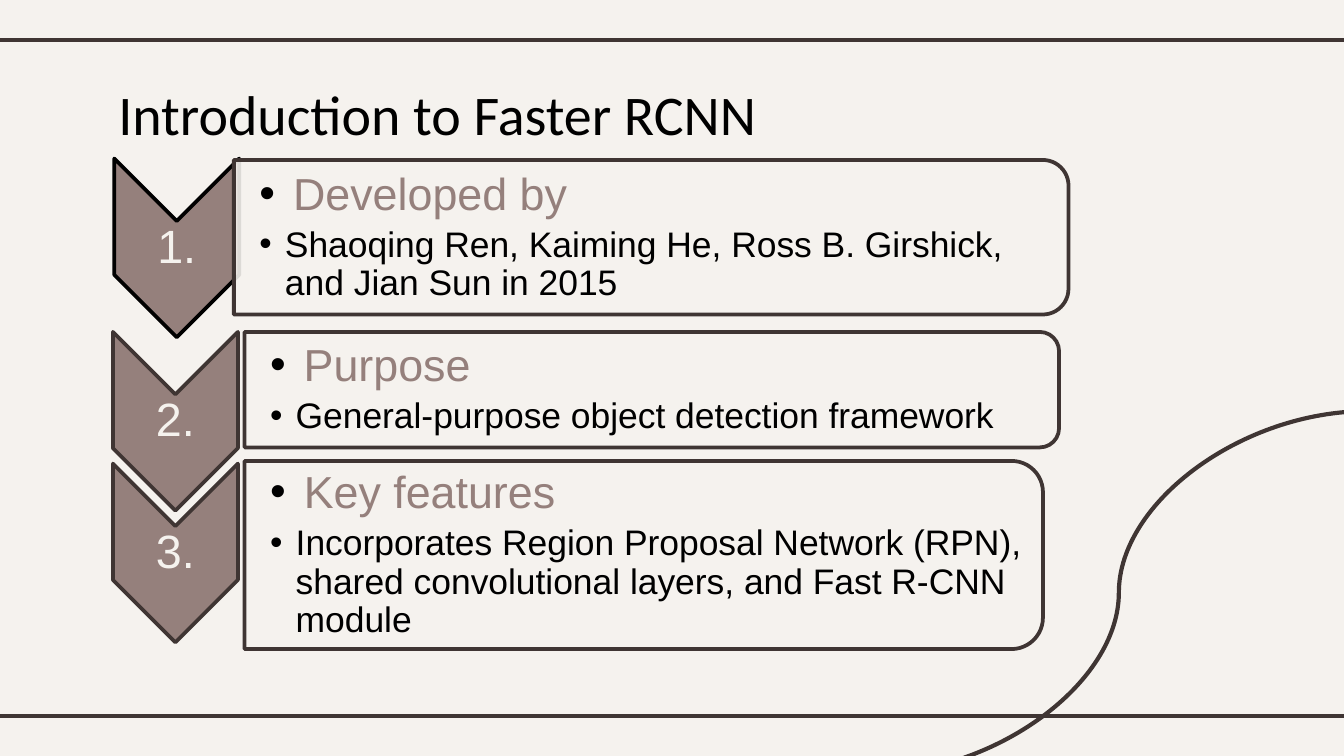
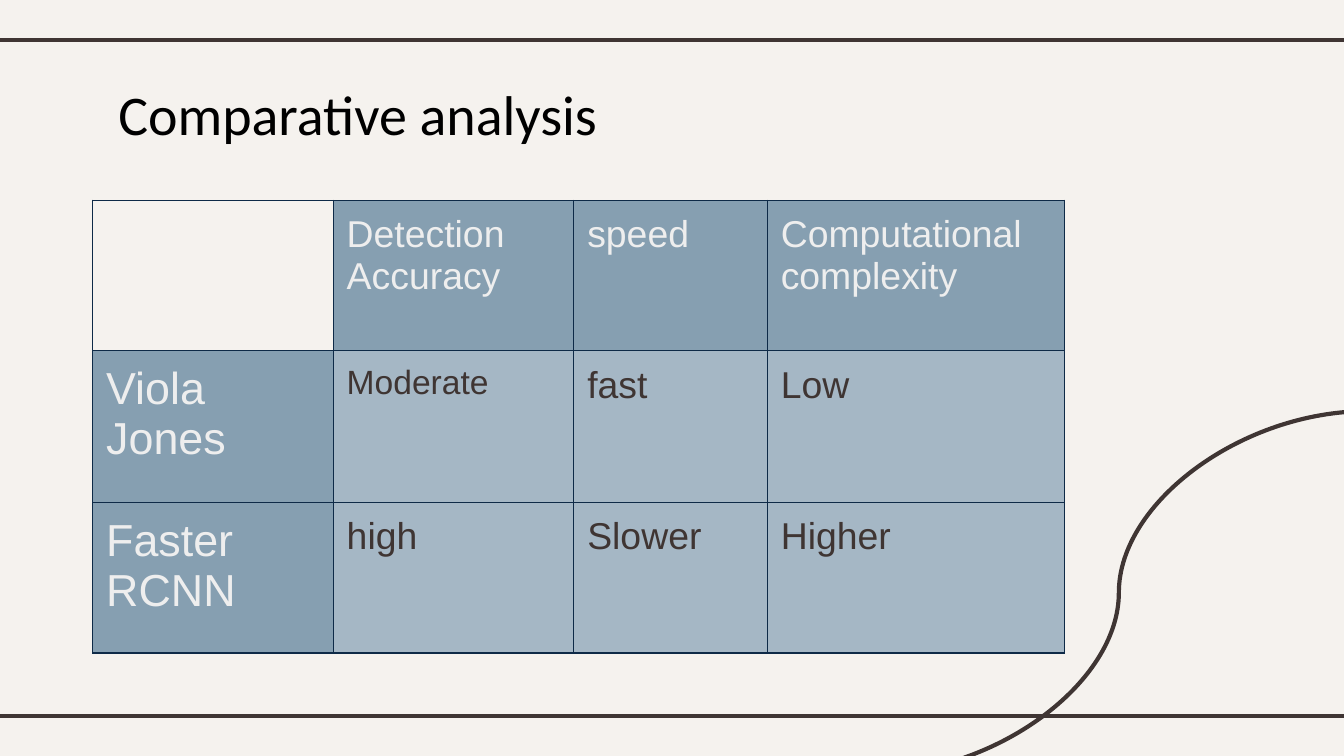
from lxml.etree import SubElement
from pptx import Presentation
from pptx.dml.color import RGBColor
from pptx.enum.shapes import MSO_CONNECTOR, MSO_SHAPE
from pptx.enum.text import MSO_ANCHOR, MSO_AUTO_SIZE, PP_ALIGN
from pptx.oxml.ns import qn
from pptx.util import Inches, Pt

CREAM, BROWN, TAUPE, BLACK = "F5F2EE", "3F3533", "95807C", "000000"
HEAD_BLUE, BODY_BLUE, NAVY, PALE = "869FB1", "A5B7C5", "0E2A47", "EEEEEE"

FRAME_LINES = [
    (MSO_CONNECTOR.STRAIGHT, -0.08, 0.3, 10.08, 0.3),
    (MSO_CONNECTOR.STRAIGHT, -0.08, 5.33, 10.08, 5.33),
    (MSO_CONNECTOR.CURVE, 10.17, 3.06, 6.48, 5.76),
]

INTRO_TITLE = "Introduction to Faster RCNN"
STEPS = [
    {"heading": "Developed by",
     "detail": "Shaoqing Ren, Kaiming He, Ross B. Girshick, and Jian Sun in 2015",
     "arrow": (0.85, 1.18), "arrow_line": BLACK, "card": (1.74, 1.19, 6.21, 1.15)},
    {"heading": "Purpose",
     "detail": "General-purpose object detection framework",
     "arrow": (0.84, 2.47), "arrow_line": BROWN, "card": (1.82, 2.47, 6.06, 0.86)},
    {"heading": "Key features",
     "detail": "Incorporates Region Proposal Network (RPN), shared convolutional "
               "layers, and Fast R-CNN module",
     "arrow": (0.84, 3.45), "arrow_line": BROWN, "card": (1.82, 3.43, 5.94, 1.4)},
]
ARROW_WIDTH, ARROW_HEIGHT, NUMBER_HEIGHT = 0.93, 1.33, 0.4

COMPARISON_TITLE = "Comparative analysis"
COMPARISON = [
    ["", "Detection Accuracy", "speed", "Computational complexity"],
    ["Viola Jones", "Moderate", "fast", "Low"],
    ["Faster RCNN", "high", "Slower", "Higher"],
]
COLUMN_WIDTHS = [1.79, 1.79, 1.44, 2.21]
ROW_HEIGHTS = [1.12, 1.13, 1.12]
SMALLER_TEXT = {"Moderate": 18}


def rgb(color):
    return RGBColor.from_string(color)


def add_run(paragraph, text, size, color, font="Arial"):
    run = paragraph.add_run()
    run.text = text
    run.font.size = Pt(size)
    run.font.name = font
    run.font.color.rgb = rgb(color)


def set_insets(target, left, other):
    target.margin_left = Inches(left)
    target.margin_top = target.margin_right = target.margin_bottom = Inches(other)


def add_framed_slide(prs, heading):
    slide = prs.slides.add_slide(prs.slide_layouts[5])
    for kind, *ends in FRAME_LINES:
        rule = slide.shapes.add_connector(kind, *map(Inches, ends))
        rule.line.color.rgb = rgb(BROWN)
        rule.line.width = Pt(2.25)
        SubElement(rule._element.spPr, qn("a:effectLst"))
    title = slide.shapes.title
    title.left, title.top, title.width, title.height = map(Inches, (0.78, 0.49, 6.21, 0.63))
    frame = title.text_frame
    frame.auto_size = MSO_AUTO_SIZE.NONE
    frame.vertical_anchor = MSO_ANCHOR.TOP
    set_insets(frame, 0.1, 0.1)
    frame.paragraphs[0].alignment = PP_ALIGN.LEFT
    add_run(frame.paragraphs[0], heading, 30, BLACK, "Calibri")
    return slide


def add_turned_shape(slide, preset, left, top, width, height, fill, line):
    shape = slide.shapes.add_shape(
        preset, Inches(left + (width - height) / 2), Inches(top + (height - width) / 2),
        Inches(height), Inches(width))
    shape.rotation = 90
    shape.shadow.inherit = False
    shape.fill.solid()
    shape.fill.fore_color.rgb = rgb(fill)
    shape.line.color.rgb = rgb(line)
    shape.line.width = Pt(2)
    return shape


def add_text_area(slide, left, top, width, height, left_inset):
    frame = slide.shapes.add_textbox(*map(Inches, (left, top, width, height))).text_frame
    frame.word_wrap = True
    frame.vertical_anchor = MSO_ANCHOR.MIDDLE
    set_insets(frame, left_inset, 0.02)
    return frame


def add_bullet(paragraph, indent):
    properties = paragraph._p.get_or_add_pPr()
    properties.set("marL", str(Inches(indent)))
    properties.set("indent", str(-Inches(indent)))
    bullet_color = SubElement(properties, qn("a:buClr"))
    SubElement(bullet_color, qn("a:srgbClr"), val=BLACK)
    SubElement(properties, qn("a:buFont"), typeface="Arial")
    SubElement(properties, qn("a:buChar"), char="•")


def add_step(slide, number, step):
    left, top = step["arrow"]
    add_turned_shape(slide, MSO_SHAPE.CHEVRON, left, top, ARROW_WIDTH, ARROW_HEIGHT,
                     TAUPE, step["arrow_line"])
    label = add_text_area(slide, left, top + (ARROW_HEIGHT - NUMBER_HEIGHT) / 2,
                          ARROW_WIDTH, NUMBER_HEIGHT, 0.02).paragraphs[0]
    label.alignment = PP_ALIGN.CENTER
    label.line_spacing = 0.9
    add_run(label, f"{number}.", 25, CREAM)

    left, top, width, height = step["card"]
    card = add_turned_shape(slide, MSO_SHAPE.ROUND_2_SAME_RECTANGLE, left, top, width, height,
                            CREAM, BROWN)
    card_color = card._element.spPr.find(qn("a:solidFill")).find(qn("a:srgbClr"))
    SubElement(card_color, qn("a:alpha"), val="90000")
    text_height = height * 0.91
    frame = add_text_area(slide, left, top + (height - text_height) / 2,
                          width - 0.06, text_height, 0.19)
    rows = [(step["heading"], 24, TAUPE, 0.25), (step["detail"], 19, BLACK, 0.19)]
    for index, (text, size, color, indent) in enumerate(rows):
        paragraph = frame.add_paragraph() if index else frame.paragraphs[0]
        paragraph.level = 1
        paragraph.line_spacing = 0.9
        paragraph.space_after = Pt(size * 0.15)
        add_bullet(paragraph, indent)
        add_run(paragraph, text, size, color)


def add_borders(cell):
    properties = cell._tc.get_or_add_tcPr()
    for position, side in enumerate(("a:lnL", "a:lnR", "a:lnT", "a:lnB")):
        border = properties.makeelement(qn(side), {"w": str(Pt(0.75))})
        fill = SubElement(border, qn("a:solidFill"))
        SubElement(fill, qn("a:srgbClr"), val=NAVY)
        properties.insert(position, border)


def add_comparison(slide):
    table = slide.shapes.add_table(
        len(ROW_HEIGHTS), len(COLUMN_WIDTHS), Inches(0.69), Inches(1.49),
        Inches(sum(COLUMN_WIDTHS)), Inches(sum(ROW_HEIGHTS))).table
    table.first_row = table.horz_banding = False
    for column, width in zip(table.columns, COLUMN_WIDTHS):
        column.width = Inches(width)
    for row, height in zip(table.rows, ROW_HEIGHTS):
        row.height = Inches(height)
    for r, texts in enumerate(COMPARISON):
        for c, text in enumerate(texts):
            cell = table.cell(r, c)
            set_insets(cell, 0.1, 0.1)
            add_borders(cell)
            if not text:
                cell.fill.background()
                continue
            is_header = r == 0 or c == 0
            cell.fill.solid()
            cell.fill.fore_color.rgb = rgb(HEAD_BLUE if is_header else BODY_BLUE)
            size = 24 if c == 0 else SMALLER_TEXT.get(text, 20)
            add_run(cell.text_frame.paragraphs[0], text, size, PALE if is_header else BROWN)


def main():
    prs = Presentation()
    prs.slide_width = Inches(10)
    prs.slide_height = prs.slide_width * 9 // 16
    background = prs.slide_master.background.fill
    background.solid()
    background.fore_color.rgb = rgb(CREAM)

    intro = add_framed_slide(prs, INTRO_TITLE)
    for number, step in enumerate(STEPS, 1):
        add_step(intro, number, step)
    add_comparison(add_framed_slide(prs, COMPARISON_TITLE))
    prs.save("out.pptx")


if __name__ == "__main__":
    main()
